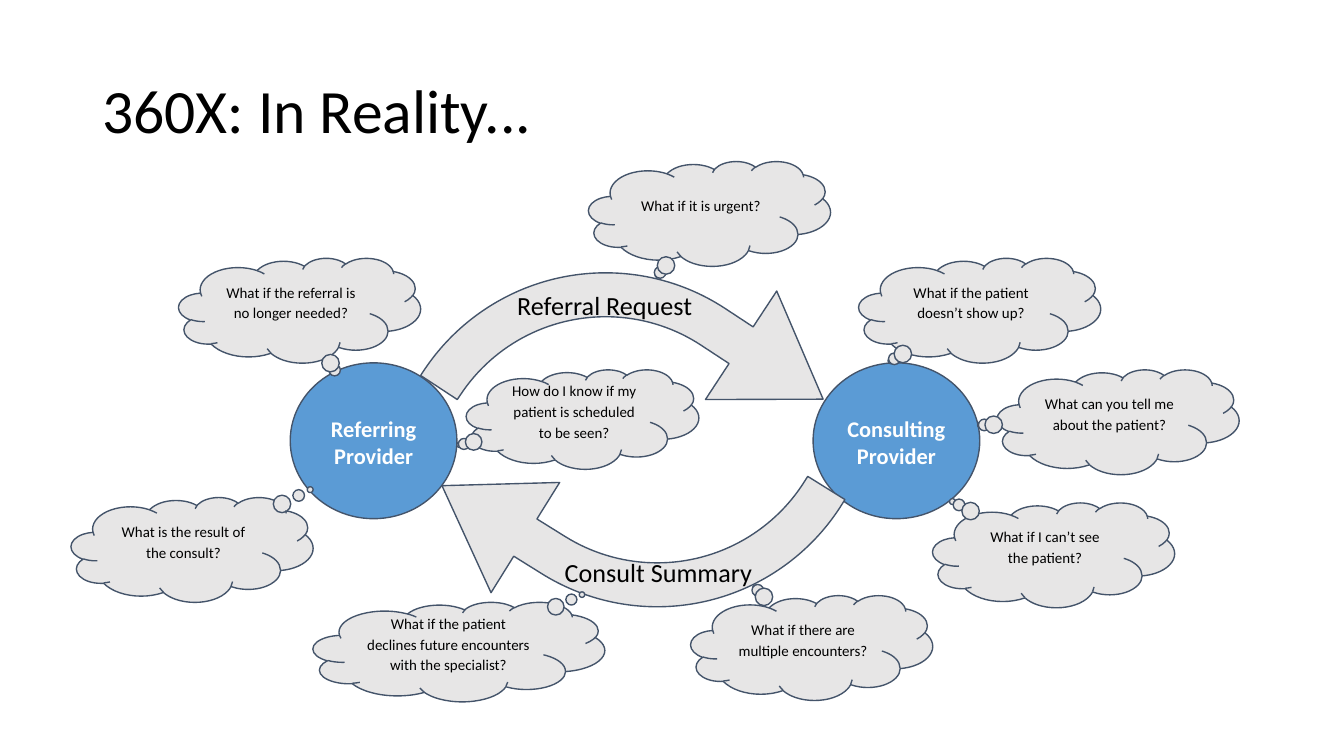
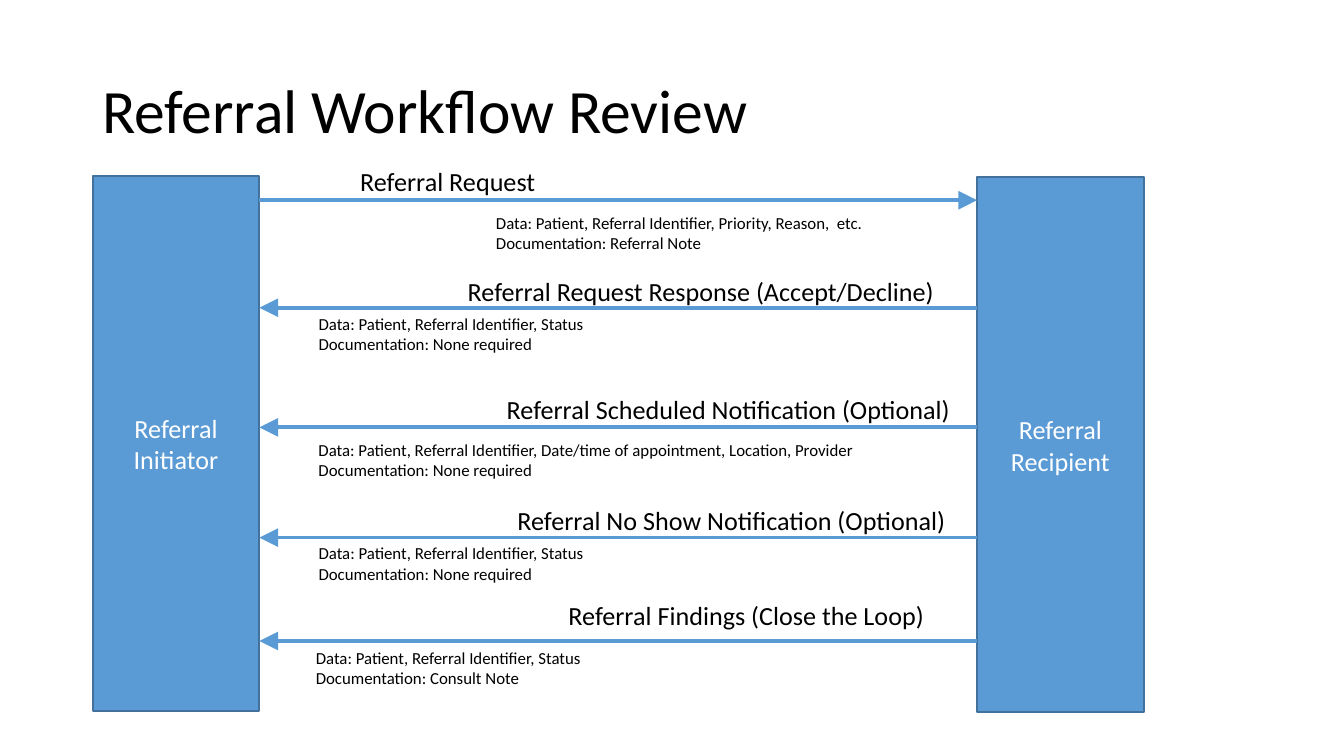
from dataclasses import dataclass

from lxml import etree
from pptx import Presentation
from pptx.dml.color import RGBColor
from pptx.enum.shapes import MSO_CONNECTOR, MSO_SHAPE
from pptx.enum.text import MSO_ANCHOR, PP_ALIGN
from pptx.oxml.ns import qn
from pptx.util import Inches, Pt

LEFT, CENTER = PP_ALIGN.LEFT, PP_ALIGN.CENTER
TOP, MIDDLE = MSO_ANCHOR.TOP, MSO_ANCHOR.MIDDLE
OVAL, CLOUD = MSO_SHAPE.OVAL, MSO_SHAPE.CLOUD_CALLOUT
BENT_ARROW, RECTANGLE = MSO_SHAPE.BENT_ARROW, MSO_SHAPE.RECTANGLE
STRAIGHT = MSO_CONNECTOR.STRAIGHT

FONT = "Calibri"
BLACK, WHITE = "000000", "FFFFFF"
BLUE, BLUE_EDGE = "5B9BD5", "42719B"
GRAY, SLATE = "E7E6E6", "44546A"

WIDE_INSETS = (0.1, 0.1, 0.1, 0.1)
SLIM_INSETS = (0.07, 0.04, 0.07, 0.04)
CLOUD_INSETS = (0.1, 0.1, 0.1, 0.2)

CLOUD_SIZE = (1.8, 0.78)
CLOUDS = [
    ("What if the referral is no longer needed?", 0.8, 0.72, CLOUD_SIZE, (0.149, 0.587)),
    ("What if the patient doesn’t show up?", 5.86, 0.72, CLOUD_SIZE, (-0.367, 0.48)),
    ("What can you tell me about the patient?", 6.89, 1.55, CLOUD_SIZE, (-0.569, 0.029)),
    ("How do I know if my patient is scheduled to be seen?",
     2.94, 1.55, (1.73, 0.74), (-0.529, 0.257)),
    ("What is the result of the consult?", 0, 2.5, CLOUD_SIZE, (0.488, -0.573)),
    ("What if the patient declines future encounters with the specialist?",
     1.8, 3.28, (2.17, 0.74), (0.422, -0.575)),
    ("What if there are multiple encounters?", 4.61, 3.23, CLOUD_SIZE, (-0.232, -0.571)),
    ("What if it is urgent?", 3.85, 0, CLOUD_SIZE, (-0.213, 0.585)),
    ("What if I can’t see the patient?", 6.41, 2.54, CLOUD_SIZE, (-0.418, -0.511)),
]


@dataclass
class Box:
    """A rectangle in inches."""

    left: float
    top: float
    width: float
    height: float

    def inner(self, left, top, width, height):
        """Return a box whose place is measured from this one."""
        return Box(self.left + left, self.top + top, width, height)

    def lengths(self):
        """Return place and size as lengths."""
        return [Inches(n) for n in (self.left, self.top, self.width, self.height)]


@dataclass
class Message:
    """One exchange: line height, label, detail lines and their places."""

    y: float
    label: str
    label_left: float
    label_width: float
    label_rise: float
    details: str
    detail_left: float
    detail_width: float
    detail_drop: float
    forward: bool = False


STATUS = "Data: Patient, Referral Identifier, Status\n"
NO_DOCUMENT = "Documentation: None required"
MESSAGES = [
    Message(0.18, "Referral Request", 1.92, 1.55, 0.3,
            "Data: Patient, Referral Identifier, Priority, Reason,  etc.\n"
            "Documentation: Referral Note", 2.93, 3.45, 0.05, True),
    Message(0.98, "Referral Request Response (Accept/Decline)", 2.72, 3.65, 0.28,
            STATUS + NO_DOCUMENT, 1.61, 3.49, 0),
    Message(1.87, "Referral Scheduled Notification (Optional)", 3.01, 3.49, 0.29,
            "Data: Patient, Referral Identifier, Date/time of appointment, "
            "Location, Provider\n" + NO_DOCUMENT, 1.61, 4.17, 0.05),
    Message(2.69, "Referral No Show Notification (Optional)", 3.09, 3.41, 0.29,
            STATUS + NO_DOCUMENT, 1.61, 4.48, 0),
    Message(3.46, "Referral Findings (Close the Loop)", 3.47, 2.9, 0.35,
            STATUS + "Documentation: Consult Note", 1.59, 3.27, 0.01),
]


def color(value):
    """Turn a hex string into a colour."""
    return RGBColor.from_string(value)


def write(shape, text, size, ink=BLACK, align=LEFT, anchor=TOP,
          insets=SLIM_INSETS, spacing=1.0, bold=False):
    """Set the text of a shape and format it."""
    frame = shape.text_frame
    frame.word_wrap = True
    frame.vertical_anchor = anchor
    (frame.margin_left, frame.margin_top,
     frame.margin_right, frame.margin_bottom) = [Inches(n) for n in insets]
    frame.text = text
    for para in frame.paragraphs:
        para.alignment = align
        para.line_spacing = spacing
        for span in para.runs:
            span.font.name = FONT
            span.font.size = Pt(size)
            span.font.bold = bold
            span.font.color.rgb = color(ink)


def add_text(page, box, text, size, **style):
    """Add a text box."""
    write(page.shapes.add_textbox(*box.lengths()), text, size, **style)


def add_figure(page, kind, box, fill, edge, width=0.75, adjustments=()):
    """Add a filled, outlined preset shape."""
    shape = page.shapes.add_shape(kind, *box.lengths())
    shape.shadow.inherit = False
    shape.fill.solid()
    shape.fill.fore_color.rgb = color(fill)
    shape.line.color.rgb = color(edge)
    shape.line.width = Pt(width)
    for index, value in enumerate(adjustments):
        shape.adjustments[index] = value
    return shape


def add_arrow(page, start, end, y):
    """Add a horizontal line with a large arrowhead at its end."""
    arrow = page.shapes.add_connector(
        STRAIGHT, Inches(start), Inches(y), Inches(end), Inches(y))
    arrow.line.color.rgb = color(BLUE)
    arrow.line.width = Pt(2)
    etree.SubElement(arrow.get_or_add_ln(), qn("a:tailEnd"),
                     type="triangle", w="lg", len="lg")
    etree.SubElement(arrow.element.spPr, qn("a:effectLst"))


def add_page(deck, title):
    """Add a blank page with the shared title."""
    page = deck.slides.add_slide(deck.slide_layouts[6])
    add_text(page, Box(0.69, 0.3, 8.62, 1.09), title, 33, anchor=MIDDLE, spacing=0.9)
    return page


def add_provider(page, box, name):
    """Draw a provider circle with its centred name."""
    add_figure(page, OVAL, box, BLUE, SLATE)
    label = box.inner((box.width - 0.98) / 2, 0.29, 0.98, 0.59)
    add_text(page, label, name, 12, ink=WHITE, align=CENTER,
             insets=WIDE_INSETS, bold=True)


def add_cloud(page, box, question, tail):
    """Draw a thought cloud with a question."""
    cloud = add_figure(page, CLOUD, box, GRAY, SLATE, adjustments=tail)
    write(cloud, question, 8, align=CENTER, anchor=MIDDLE,
          insets=CLOUD_INSETS, spacing=1.15)


def draw_cycle(page, box):
    """Draw the referral cycle with the questions around it."""
    for left, name in ((1.63, "Referring Provider"), (5.52, "Consulting Provider")):
        add_provider(page, box.inner(left, 1.5, 1.24, 1.16), name)
    for left, top, angle in ((2.93, 0.49, 33.3), (2.83, 1.68, 211.9)):
        arrow = add_figure(page, BENT_ARROW, box.inner(left, top, 2.6, 1.98), GRAY, SLATE,
                           adjustments=(0.165, 0.244, 0.369, 0.819))
        arrow.rotation = angle
    for question, left, top, size, tail in CLOUDS:
        add_cloud(page, box.inner(left, top, *size), question, tail)
    for text, place in (("Referral Request", (3.07, 0.85, 1.8, 0.23)),
                        ("Consult Summary", (3.54, 2.84, 1.66, 0.52))):
        add_text(page, box.inner(*place), text, 14, align=CENTER, insets=WIDE_INSETS)


def draw_workflow(page, box):
    """Draw two parties and the messages between them."""
    party_width = 1.24
    far = box.width - party_width
    for left, top, name in ((0, 0, "Referral Initiator"), (far, 0.01, "Referral Recipient")):
        party = add_figure(page, RECTANGLE, box.inner(left, top, party_width, 3.98),
                           BLUE, BLUE_EDGE, 1)
        write(party, name, 14, ink=WHITE, align=CENTER, anchor=MIDDLE)
    ends = (box.left + party_width, box.left + far)
    for message in MESSAGES:
        start, end = ends if message.forward else ends[::-1]
        add_arrow(page, start, end, box.top + message.y)
        label = box.inner(message.label_left, message.y - message.label_rise,
                          message.label_width, 0.3)
        add_text(page, label, message.label, 14)
        details = box.inner(message.detail_left, message.y + message.detail_drop,
                            message.detail_width, 0.38)
        add_text(page, details, message.details, 9)


def main():
    """Build and save the deck."""
    deck = Presentation()
    deck.slide_width = Inches(10)
    deck.slide_height = deck.slide_width * 9 // 16
    draw_cycle(add_page(deck, "360X: In Reality..."), Box(0.53, 1.2, 8.69, 4.02))
    draw_workflow(add_page(deck, "Referral Workflow Review"), Box(0.69, 1.31, 7.82, 3.99))
    deck.save("out.pptx")


main()
